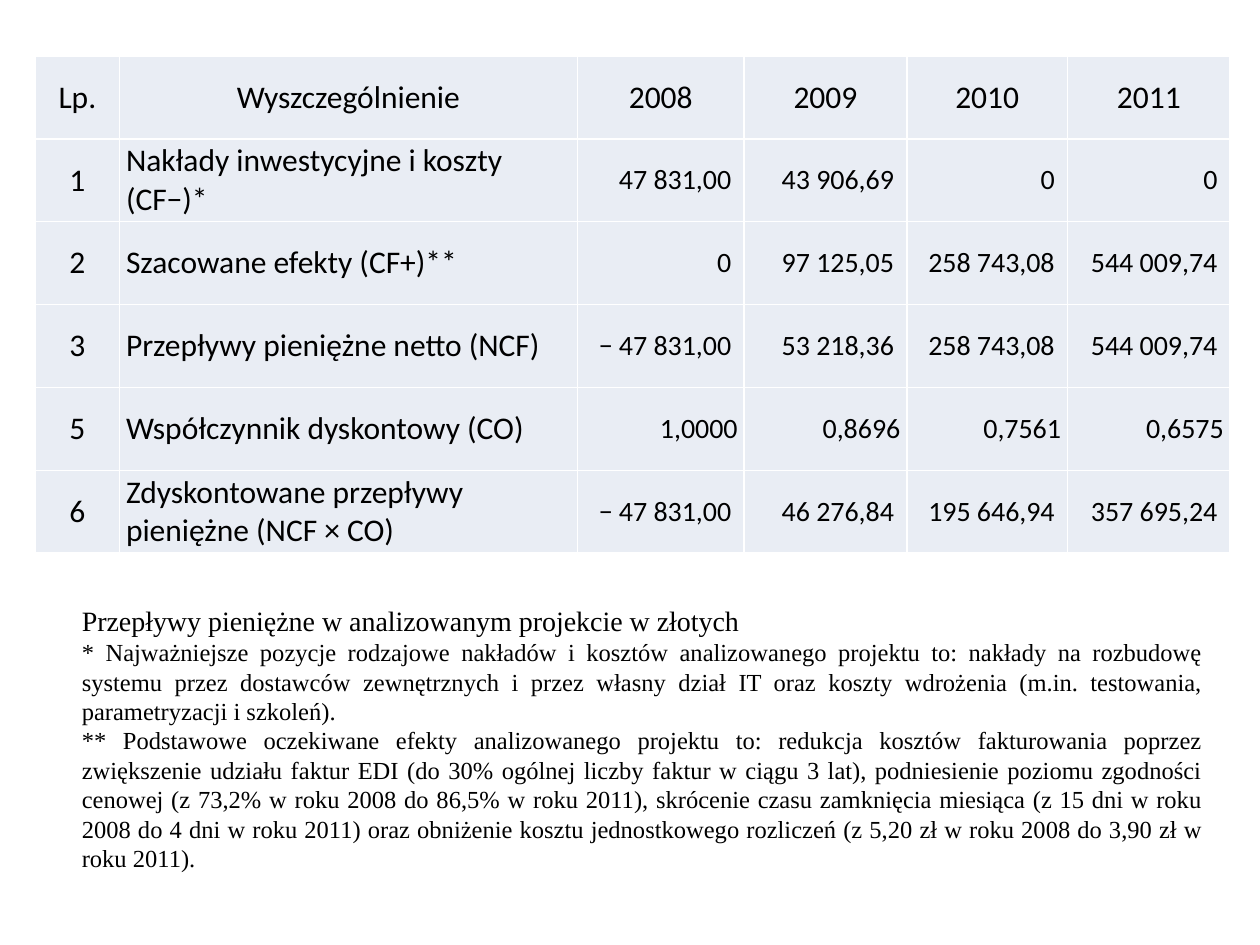
import pptx
import pptx.util
import pptx.dml.color
import pptx.enum.text
import pptx.oxml
import pptx.oxml.ns

Cm, Pt = pptx.util.Cm, pptx.util.Pt
ALIGN = pptx.enum.text.PP_ALIGN
MIDDLE = pptx.enum.text.MSO_ANCHOR.MIDDLE
BLACK = pptx.dml.color.RGBColor(0x00, 0x00, 0x00)
WHITE = pptx.dml.color.RGBColor(0xFF, 0xFF, 0xFF)
PALE_BLUE = pptx.dml.color.RGBColor(0xE9, 0xED, 0xF4)


def write(p, text, align, size, font):
    p.alignment = align
    r = p.add_run()
    r.text = text
    for name, value in {"name": font, "size": Pt(size)}.items():
        setattr(r.font, name, value)
    r.font.color.rgb = BLACK


def add_borders(cell, color, width):
    tcPr = cell._tc.get_or_add_tcPr()
    for i, side in enumerate(("lnL", "lnR", "lnT", "lnB")):
        tcPr.insert(i, pptx.oxml.parse_xml(
            f'<a:{side} {pptx.oxml.ns.nsdecls("a")} w="{Pt(width)}">'
            f'<a:solidFill><a:srgbClr val="{color}"/></a:solidFill></a:{side}>'))


prs = pptx.Presentation()
prs.slide_width, prs.slide_height = Cm(25.4), Cm(19.05)
s = prs.slides.add_slide(prs.slide_layouts[6])

# Cash flow table
rows = [
    ("Lp.", "Wyszczególnienie", "2008", "2009", "2010", "2011"),
    ("1", "Nakłady inwestycyjne i koszty (CF−)*",
     "47 831,00 ", "43 906,69 ", "0 ", "0 "),
    ("2", "Szacowane efekty (CF+)**",
     "0 ", "97 125,05 ", "258 743,08 ", "544 009,74 "),
    ("3", "Przepływy pieniężne netto (NCF)",
     "− 47 831,00 ", "53 218,36 ", "258 743,08 ", "544 009,74 "),
    ("5", "Współczynnik dyskontowy (CO)",
     "1,0000", "0,8696", "0,7561", "0,6575"),
    ("6", "Zdyskontowane przepływy pieniężne (NCF × CO)",
     "− 47 831,00 ", "46 276,84 ", "195 646,94 ", "357 695,24 "),
]
widths = [1.7, 9.23, 3.36, 3.28, 3.24, 3.28]
row_height = 1.67
cell_format = {
    "margin_left": Cm(0.13), "margin_right": Cm(0.13),
    "margin_top": 0, "margin_bottom": 0, "vertical_anchor": MIDDLE,
}

table = s.shapes.add_table(len(rows), len(widths), Cm(0.71), Cm(1.13),
                           Cm(sum(widths)), Cm(row_height * len(rows))).table
table.first_row = table.horz_banding = False
for col, width in zip(table.columns, widths):
    col.width = Cm(width)

for i, row in enumerate(rows):
    table.rows[i].height = Cm(row_height)
    for j, text in enumerate(row):
        cell = table.cell(i, j)
        for name, value in cell_format.items():
            setattr(cell, name, value)
        cell.fill.solid()
        cell.fill.fore_color.rgb = PALE_BLUE
        add_borders(cell, WHITE, 1)
        if i == 0 or j == 0:
            align, size = ALIGN.CENTER, 18
        elif j == 1:
            align, size = ALIGN.LEFT, 18
        else:
            align, size = ALIGN.RIGHT, 16
        write(cell.text_frame.paragraphs[0], text, align, size, "Calibri")

# Caption and footnotes
notes = [
    ("Przepływy pieniężne w analizowanym projekcie w złotych", 16),
    ("* Najważniejsze pozycje rodzajowe nakładów i kosztów analizowanego "
     "projektu to: nakłady na rozbudowę systemu przez dostawców zewnętrznych "
     "i przez własny dział IT oraz koszty wdrożenia (m.in. testowania, "
     "parametryzacji i szkoleń).", 14),
    ("** Podstawowe oczekiwane efekty analizowanego projektu to: redukcja "
     "kosztów fakturowania poprzez zwiększenie udziału faktur EDI (do 30% "
     "ogólnej liczby faktur w ciągu 3 lat), podniesienie poziomu zgodności "
     "cenowej (z 73,2% w roku 2008 do 86,5% w roku 2011), skrócenie czasu "
     "zamknięcia miesiąca (z 15 dni w roku 2008 do 4 dni w roku 2011) oraz "
     "obniżenie kosztu jednostkowego rozliczeń (z 5,20 zł w roku 2008 do "
     "3,90 zł w roku 2011).", 14),
]
tf = s.shapes.add_textbox(Cm(1.4), Cm(12.01), Cm(23.11), Cm(5.74)).text_frame
text_format = {
    "word_wrap": True, "vertical_anchor": MIDDLE,
    "auto_size": pptx.enum.text.MSO_AUTO_SIZE.SHAPE_TO_FIT_TEXT,
}
for name, value in text_format.items():
    setattr(tf, name, value)
for i, (text, size) in enumerate(notes):
    p = tf.add_paragraph() if i else tf.paragraphs[0]
    write(p, text, ALIGN.JUSTIFY, size, "Times New Roman")

prs.save("out.pptx")
